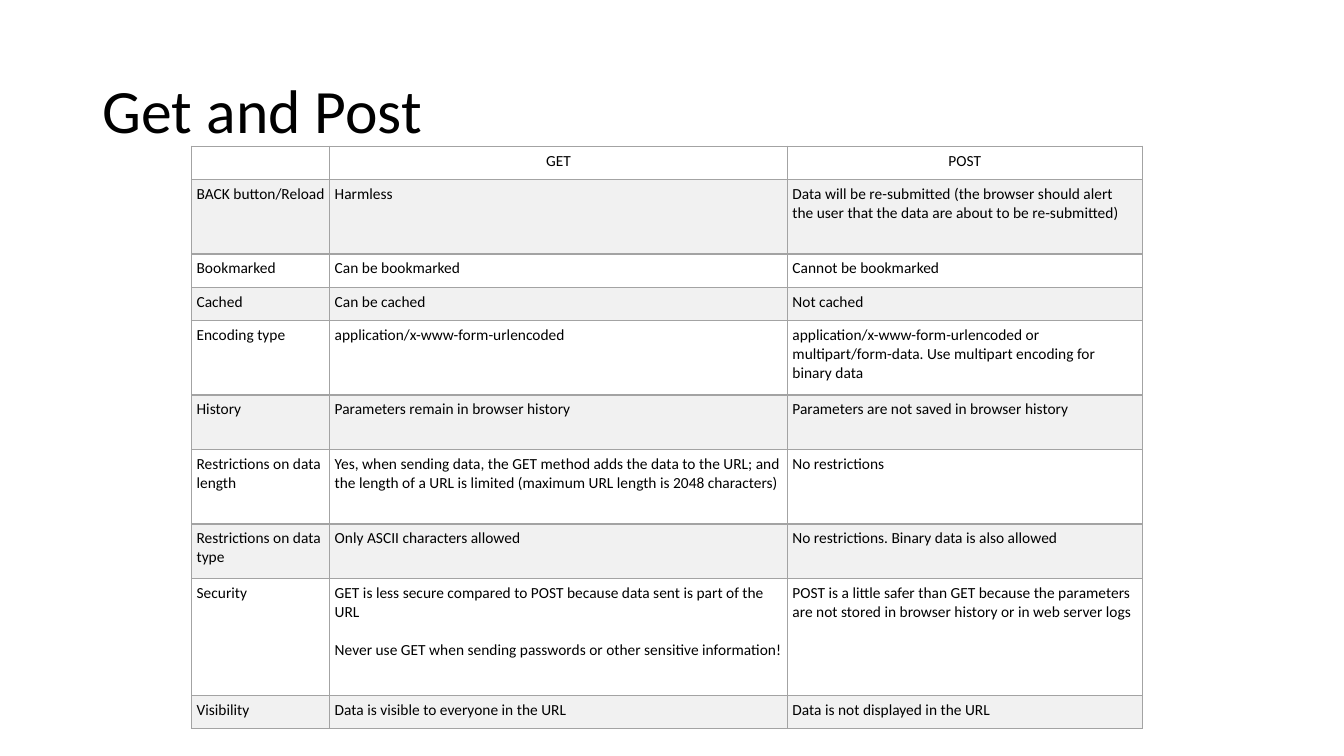
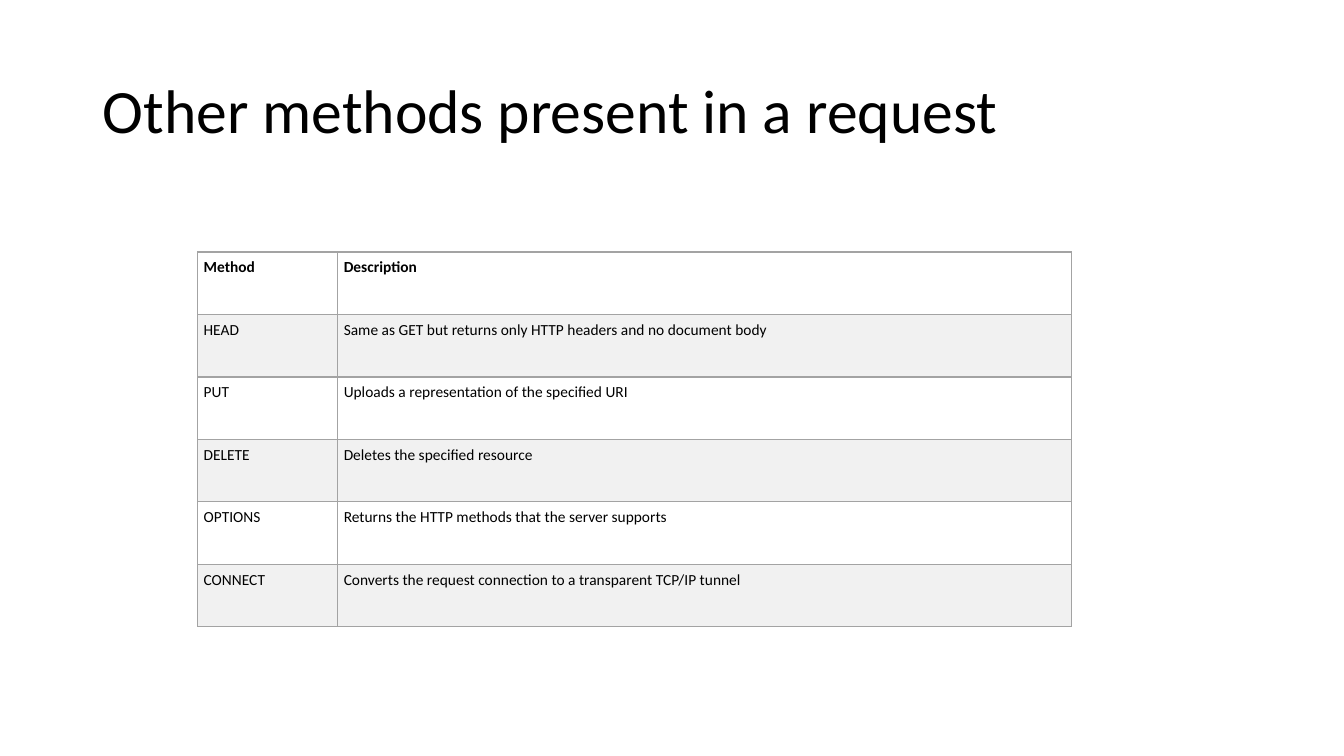
from dataclasses import dataclass

from lxml import etree
from pptx import Presentation
from pptx.dml.color import RGBColor
from pptx.enum.text import MSO_ANCHOR, MSO_AUTO_SIZE, PP_ALIGN
from pptx.oxml.ns import qn
from pptx.util import Inches, Pt

LEFT, CENTER = PP_ALIGN.LEFT, PP_ALIGN.CENTER
MIDDLE = MSO_ANCHOR.MIDDLE
NO_AUTOFIT = MSO_AUTO_SIZE.NONE
TITLE_ONLY = 5


@dataclass(frozen=True)
class Theme:
    """Colours, font and sizes shared by the slides."""
    font: str = "Calibri"
    text: RGBColor = RGBColor(0x00, 0x00, 0x00)
    row_fills: tuple = (RGBColor(0xFF, 0xFF, 0xFF), RGBColor(0xF1, 0xF1, 0xF1))
    border: str = "A3A3A3"
    border_width: int = Pt(1)
    title_size: int = Pt(44)
    body_size: int = Pt(11)
    line_gap: int = Pt(13.4)


THEME = Theme()


def style_paragraph(paragraph, size, alignment=LEFT, bold=False):
    """Give a paragraph the theme font with its size and alignment."""
    paragraph.alignment = alignment
    paragraph.font.name = THEME.font
    paragraph.font.size = size
    paragraph.font.bold = bold
    paragraph.font.color.rgb = THEME.text


def style_cell(cell, fill, inset):
    """Set the borders, fill and insets of a table cell."""
    properties = cell._tc.get_or_add_tcPr()
    for side in ("a:lnL", "a:lnR", "a:lnT", "a:lnB"):
        line = etree.SubElement(properties, qn(side), w=str(THEME.border_width))
        line_fill = etree.SubElement(line, qn("a:solidFill"))
        etree.SubElement(line_fill, qn("a:srgbClr"), val=THEME.border)
    cell.fill.solid()
    cell.fill.fore_color.rgb = fill
    cell.margin_left = cell.margin_right = inset
    cell.margin_top = cell.margin_bottom = inset


SLIDES = [
    {
        "title": "Get and Post",
        "position": (1.9, 1.45),
        "columns": (1.37, 4.54, 3.52),
        "heights": (0.33, 0.74, 0.33, 0.33, 0.74, 0.54, 0.74, 0.54, 1.16, 0.33),
        "inset": 0.05,
        "header_alignment": CENTER,
        "header_bold": False,
        "rows": [
            ("", "GET", "POST"),
            ("BACK button/Reload", "Harmless",
             "Data will be re-submitted (the browser should alert the user "
             "that the data are about to be re-submitted)"),
            ("Bookmarked", "Can be bookmarked", "Cannot be bookmarked"),
            ("Cached", "Can be cached", "Not cached"),
            ("Encoding type", "application/x-www-form-urlencoded",
             "application/x-www-form-urlencoded or multipart/form-data. "
             "Use multipart encoding for binary data"),
            ("History", "Parameters remain in browser history",
             "Parameters are not saved in browser history"),
            ("Restrictions on data length",
             "Yes, when sending data, the GET method adds the data to the URL; "
             "and the length of a URL is limited (maximum URL length is 2048 characters)",
             "No restrictions"),
            ("Restrictions on data type", "Only ASCII characters allowed",
             "No restrictions. Binary data is also allowed"),
            ("Security",
             "GET is less secure compared to POST because data sent is part of the URL\n"
             "Never use GET when sending passwords or other sensitive information!",
             "POST is a little safer than GET because the parameters are not "
             "stored in browser history or in web server logs"),
            ("Visibility", "Data is visible to everyone in the URL",
             "Data is not displayed in the URL"),
        ],
    },
    {
        "title": "Other methods present in a request",
        "position": (1.96, 2.5),
        "columns": (1.39, 7.28),
        "heights": (0.62,) * 6,
        "inset": 0.06,
        "header_alignment": LEFT,
        "header_bold": True,
        "rows": [
            ("Method", "Description"),
            ("HEAD", "Same as GET but returns only HTTP headers and no document body"),
            ("PUT", "Uploads a representation of the specified URI"),
            ("DELETE", "Deletes the specified resource"),
            ("OPTIONS", "Returns the HTTP methods that the server supports"),
            ("CONNECT", "Converts the request connection to a transparent TCP/IP tunnel"),
        ],
    },
]

presentation = Presentation()
presentation.slide_width = Inches(13.33)
presentation.slide_height = Inches(7.5)

for content in SLIDES:
    slide = presentation.slides.add_slide(presentation.slide_layouts[TITLE_ONLY])

    title = slide.shapes.title
    title.left, title.top = Inches(0.92), Inches(0.4)
    title.width, title.height = Inches(11.5), Inches(1.45)
    title.text_frame.text = content["title"]
    title.text_frame.vertical_anchor = MIDDLE
    title.text_frame.auto_size = NO_AUTOFIT
    title_paragraph = title.text_frame.paragraphs[0]
    title_paragraph.line_spacing = 0.9
    style_paragraph(title_paragraph, THEME.title_size)

    rows, columns, heights = content["rows"], content["columns"], content["heights"]
    left, top = content["position"]
    table = slide.shapes.add_table(
        len(rows), len(columns), Inches(left), Inches(top),
        Inches(sum(columns)), Inches(sum(heights))).table
    table.first_row = False
    table.horz_banding = False
    for column, width in zip(table.columns, columns):
        column.width = Inches(width)

    for row_index, texts in enumerate(rows):
        table.rows[row_index].height = Inches(heights[row_index])
        is_header = row_index == 0
        alignment = content["header_alignment"] if is_header else LEFT
        bold = is_header and content["header_bold"]
        for column_index, text in enumerate(texts):
            cell = table.cell(row_index, column_index)
            style_cell(cell, THEME.row_fills[row_index % 2], Inches(content["inset"]))
            cell.text_frame.text = text
            for paragraph_index, paragraph in enumerate(cell.text_frame.paragraphs):
                style_paragraph(paragraph, THEME.body_size, alignment, bold)
                if paragraph_index:
                    paragraph.space_before = THEME.line_gap

presentation.save("out.pptx")
